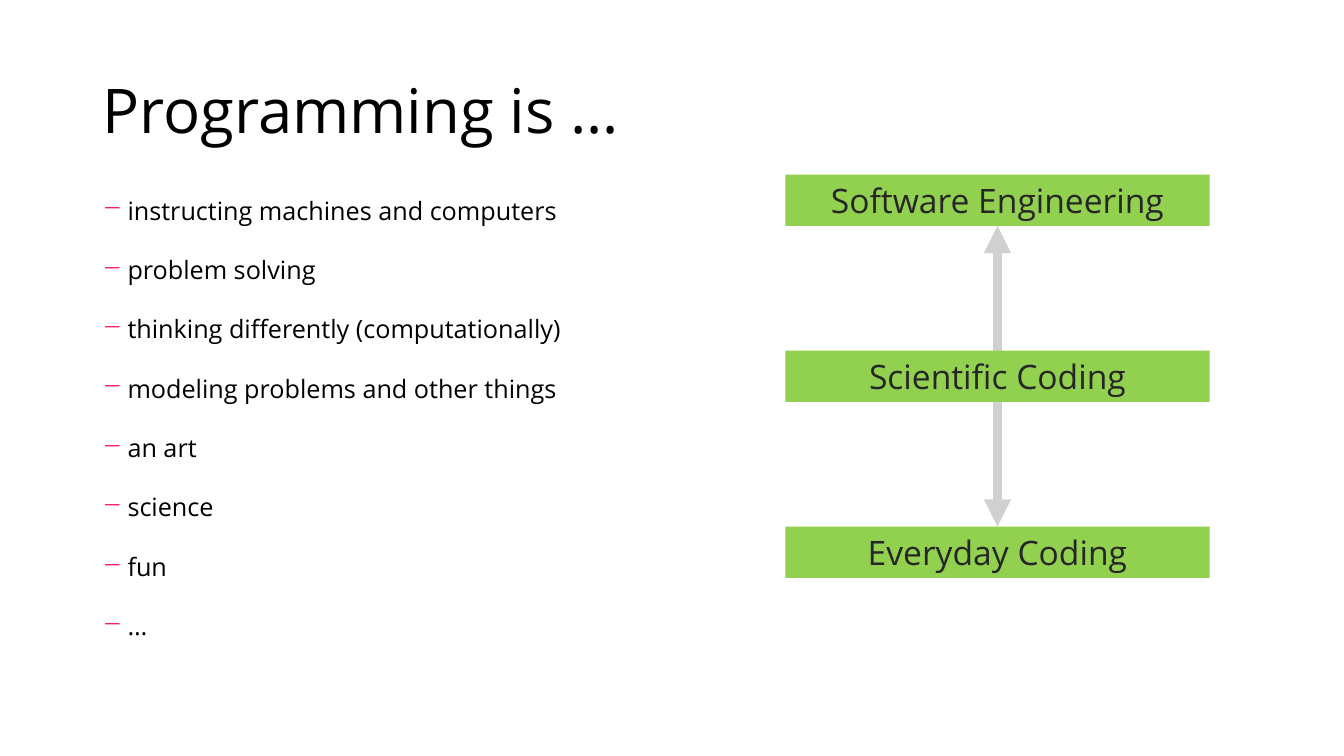
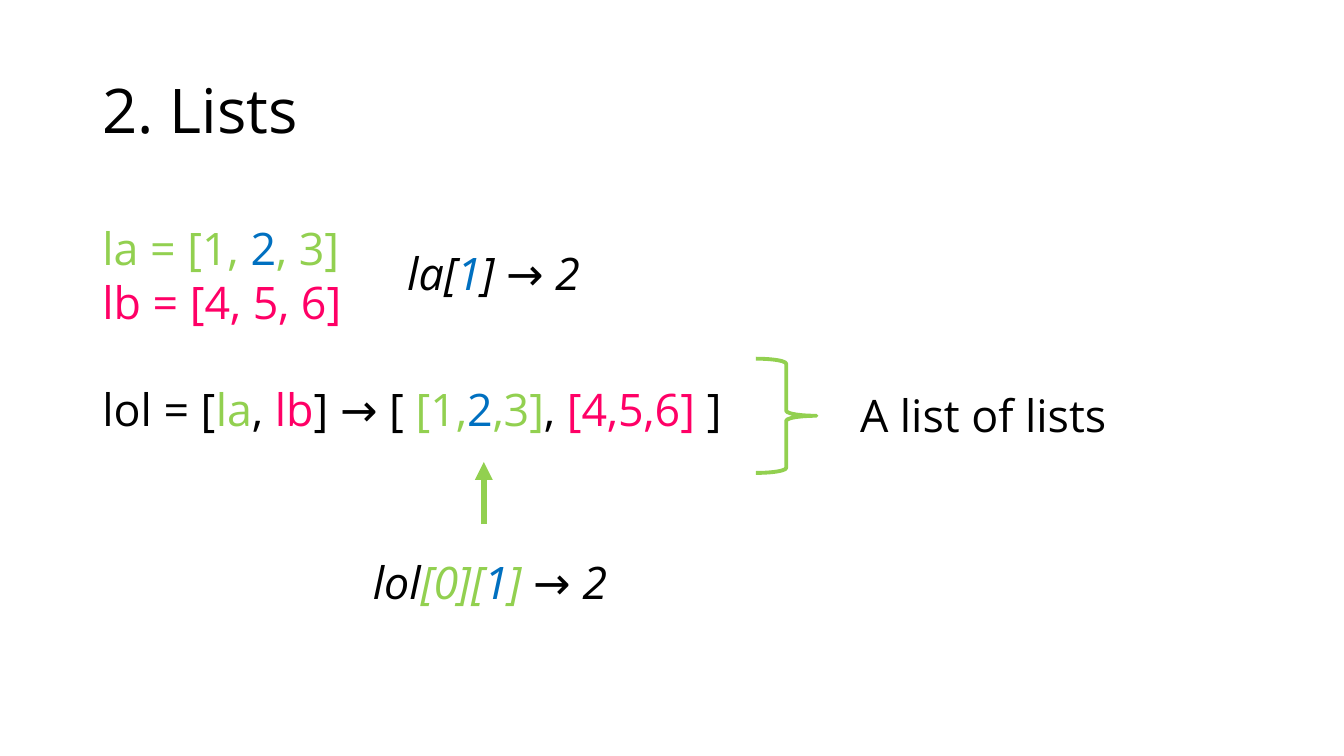
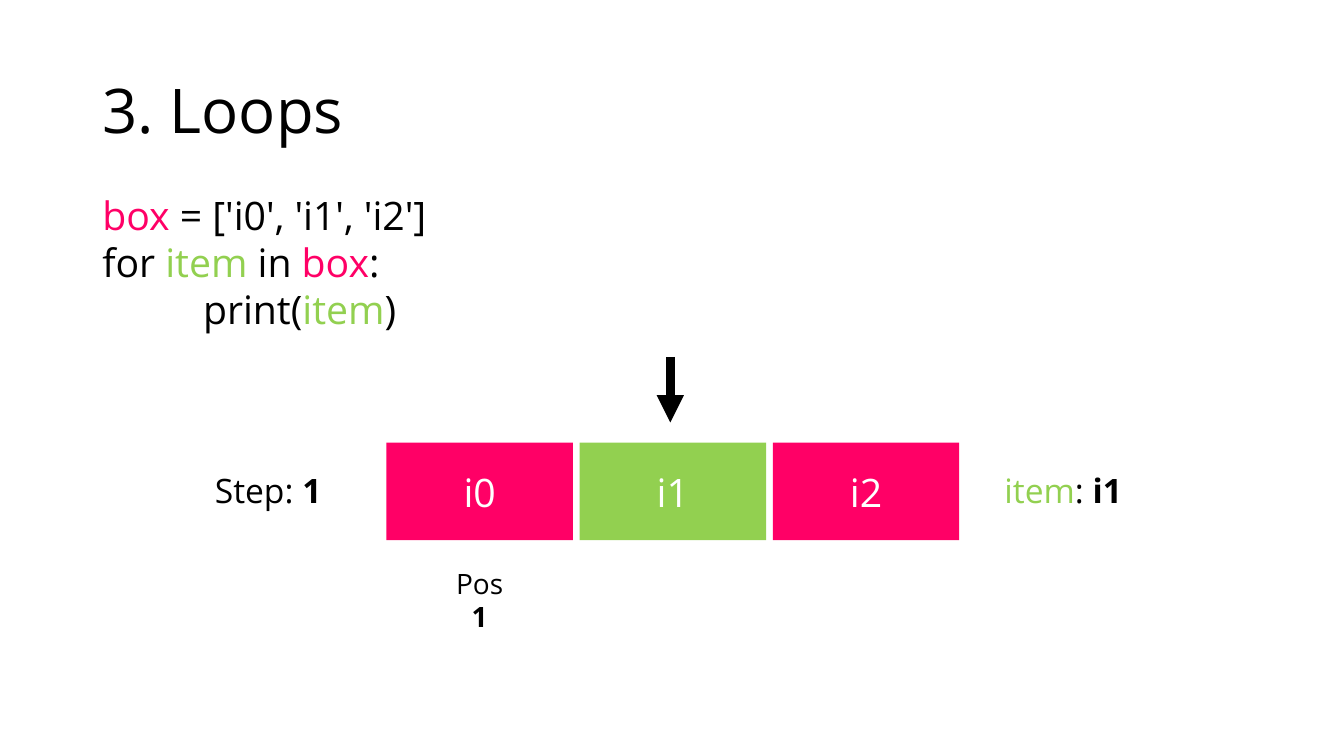
from dataclasses import dataclass

from lxml.etree import SubElement
from pptx import Presentation
from pptx.dml.color import RGBColor
from pptx.enum.shapes import MSO_CONNECTOR as Connector, MSO_SHAPE as Shape
from pptx.enum.text import MSO_ANCHOR as Anchor, PP_ALIGN as Align
from pptx.oxml import parse_xml
from pptx.oxml.ns import nsdecls, qn
from pptx.util import Inches, Pt

# Shared style
FONT = "Open Sans"
BLACK, WHITE, DARK, GRAY = "000000", "FFFFFF", "262626", "D0D0CE"
GREEN, PINK, BLUE = "92D050", "FF0066", "0070C0"

# The slide is a grid of 160 columns and 90 rows, twelve to the inch
COLUMNS, ROWS = 160, 90
MARGIN = 11


def cells(count):
    return Inches(count / 12)


def rgb(color):
    return RGBColor.from_string(color)


@dataclass
class Box:
    left: float
    top: float
    width: float
    height: float

    @property
    def right(self):
        return self.left + self.width

    @property
    def bottom(self):
        return self.top + self.height

    @property
    def center(self):
        return self.left + self.width / 2

    def offset(self, across, down, width, height):
        return Box(self.left + across, self.top + down, width, height)

    def lengths(self):
        return [cells(n) for n in (self.left, self.top, self.width, self.height)]


# Text: a line is a string or a list of (text, color[, bold]) pieces
def write(frame, lines, size, color=BLACK, align=Align.LEFT, italic=False):
    for number, line in enumerate(lines):
        paragraph = frame.paragraphs[0] if number == 0 else frame.add_paragraph()
        paragraph.alignment = align
        font = paragraph.font
        font.name, font.size, font.italic = FONT, Pt(size), italic
        font.color.rgb = rgb(color)
        pieces = [(line, color)] if isinstance(line, str) else line
        for text, piece_color, *bold in pieces:
            run = paragraph.add_run()
            run.text = text
            if piece_color != color:
                run.font.color.rgb = rgb(piece_color)
            if bold:
                run.font.bold = True


def add_text(slide, box, lines, size, anchor=Anchor.TOP, wrap=True, **style):
    frame = slide.shapes.add_textbox(*box.lengths()).text_frame
    frame.word_wrap = wrap
    frame.vertical_anchor = anchor
    write(frame, lines, size, **style)
    return frame.paragraphs


def add_bar(slide, box, label, fill, size, color):
    bar = slide.shapes.add_shape(Shape.RECTANGLE, *box.lengths())
    bar.shadow.inherit = False
    bar.fill.solid()
    bar.fill.fore_color.rgb = rgb(fill)
    bar.line.fill.background()
    bar.text_frame.vertical_anchor = Anchor.MIDDLE
    write(bar.text_frame, [label], size, color=color, align=Align.CENTER)


def add_arrow(slide, x, start, end, color, width, both_ends=False):
    arrow = slide.shapes.add_connector(
        Connector.STRAIGHT, cells(x), cells(start), cells(x), cells(end))
    arrow.line.color.rgb = rgb(color)
    arrow.line.width = Pt(width)
    stroke = arrow.line._get_or_add_ln()
    for tip in ("a:headEnd", "a:tailEnd") if both_ends else ("a:tailEnd",):
        SubElement(stroke, qn(tip), type="triangle")
    SubElement(arrow._element.spPr, qn("a:effectLst"))


def new_slide(deck, title):
    slide = deck.slides.add_slide(deck.slide_layouts[6])
    heading, = add_text(slide, Box(MARGIN, 4.8, 138, 17.4), [title], 44,
                        anchor=Anchor.MIDDLE)
    heading.line_spacing = 0.9
    return slide


# Slide 1: dashed list and the levels of coding
def dashed_list(slide, box, items):
    for paragraph in add_text(slide, box, items, 18):
        paragraph.line_spacing = 1.5
        paragraph.space_before = Pt(10)
        properties = paragraph._p.get_or_add_pPr()
        properties.set("marL", str(Inches(0.25)))
        properties.set("indent", str(Inches(-0.25)))
        defaults = properties.find(qn("a:defRPr"))
        for bullet in (f'<a:buClr {nsdecls("a")}><a:srgbClr val="{PINK}"/></a:buClr>',
                       f'<a:buChar {nsdecls("a")} char="\u2212"/>'):
            defaults.addprevious(parse_xml(bullet))


def coding_levels(slide, box, levels):
    height = 6.1
    pitch = (box.height - height) / (len(levels) - 1)
    add_arrow(slide, box.center, box.top + height, box.bottom - height,
              GRAY, 6.5, both_ends=True)
    for number, level in enumerate(levels):
        add_bar(slide, box.offset(0, number * pitch, box.width, height),
                level, GREEN, 24, DARK)


# Slide 2: nested lists, their indexing and the brace
def nested_lists(slide, box):
    size, line_height = 32, 7.7
    code = add_text(slide, box, [
        [("la = [1, ", GREEN), ("2", BLUE), (", 3]", GREEN)],
        [("lb = [4, 5, 6]", PINK)],
        [("lol = [", BLACK), ("la", GREEN), (", ", BLACK), ("lb", PINK),
         ("] → [ ", BLACK), ("[1,", GREEN), ("2", BLUE), (",3]", GREEN),
         (", ", BLACK), ("[4,5,6]", PINK), (" ]", BLACK)],
    ], size)
    code[-1].space_before = Pt(1.2 * size)

    # Indexing examples
    add_text(slide, box.offset(36.3, 3, 24.6, line_height),
             [[("la[", BLACK), ("1", BLUE), ("] → 2", BLACK)]],
             size, wrap=False, italic=True)
    lookup = box.offset(32.2, 39.7, 31.3, line_height)
    add_text(slide, lookup,
             [[("lol", BLACK), ("[0][", GREEN), ("1", BLUE), ("] ", GREEN),
               ("→ 2", BLACK)]],
             size, wrap=False, italic=True)
    add_arrow(slide, lookup.left + 14.4, lookup.top - 3, lookup.top - 10.4,
              GREEN, 4.25)

    # Brace and its label
    span = box.offset(79, 17, 7.2, 13.6)
    brace = slide.shapes.add_shape(Shape.RIGHT_BRACE, *span.lengths())
    brace.shadow.inherit = False
    brace.fill.background()
    brace.line.color.rgb = rgb(GREEN)
    brace.line.width = Pt(2.75)
    add_text(slide, span.offset(11.2, 2.9, 58, line_height),
             ["A list of lists"], size)


# Slide 3: loop code and one step of the loop
def loop_code(slide, box):
    code = add_text(slide, box, [
        [("box ", PINK), ("= ['i0', 'i1', 'i2']", BLACK)],
        [("for ", BLACK), ("item", GREEN), (" in ", BLACK), ("box", PINK),
         (":", BLACK)],
        [("print(", BLACK), ("item", GREEN), (")", BLACK)],
    ], 28)
    code[-1]._p.get_or_add_pPr().set("marL", str(Inches(1)))


def loop_step(slide, box, items, current):
    gap = 0.8
    width = (box.width - gap * (len(items) - 1)) / len(items)
    slots = [box.offset(n * (width + gap), 0, width, box.height)
             for n in range(len(items))]
    for number, (slot, item) in enumerate(zip(slots, items)):
        add_bar(slide, slot, item, GREEN if number == current else PINK, 28, WHITE)
    add_arrow(slide, slots[current].center - 0.3, box.top - 10.2, box.top - 2.4,
              BLACK, 6.5)

    # Labels beside and below the row
    add_text(slide, box.offset(-21.6, 2.7, 26.4, 6),
             [[("Step: ", BLACK), (str(current), BLACK, True)]], 24)
    add_text(slide, box.offset(box.width + 4.2, 2.7, 26.4, 6),
             [[("item", GREEN), (": ", BLACK), (items[current], BLACK, True)]], 24)
    add_text(slide, box.offset(0, box.height + 2.5, width, 9.2),
             ["Pos", [(str(current), BLACK, True)]], 20, align=Align.CENTER)


deck = Presentation()
deck.slide_width, deck.slide_height = cells(COLUMNS), cells(ROWS)

programming = new_slide(deck, "Programming is …")
dashed_list(programming, Box(MARGIN, 20.8, 122, 59.6), [
    "instructing machines and computers", "problem solving",
    "thinking differently (computationally)",
    "modeling problems and other things", "an art", "science", "fun", "…"])
coding_levels(programming, Box(93.5, 20.8, 50.5, 48), [
    "Software Engineering", "Scientific Coding", "Everyday Coding"])

lists = new_slide(deck, "2. Lists")
nested_lists(lists, Box(MARGIN, 25.7, 88.7, 27.1))

loops = new_slide(deck, "3. Loops")
loop_code(loops, Box(MARGIN, 22.2, 88.7, 18.1))
loop_step(loops, Box(46, 52.7, 68.2, 11.6), ["i0", "i1", "i2"], current=1)

deck.save("out.pptx")
